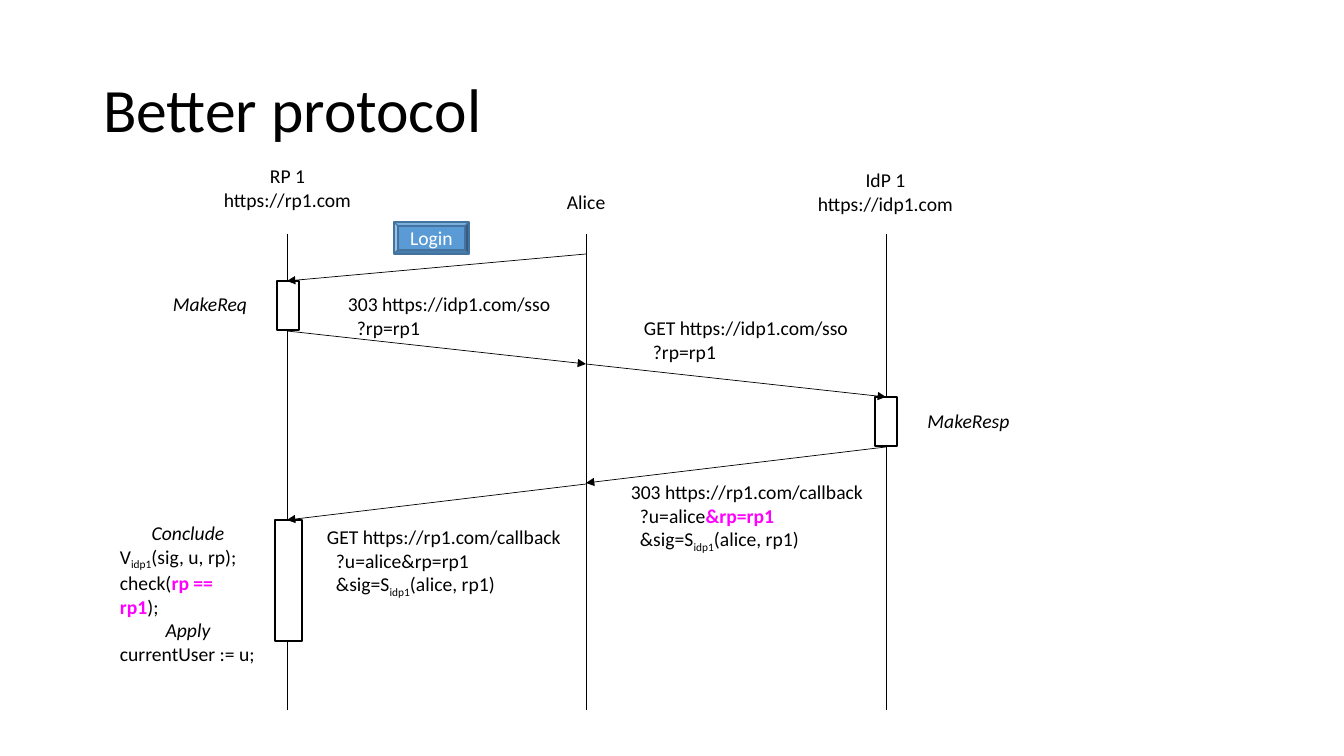
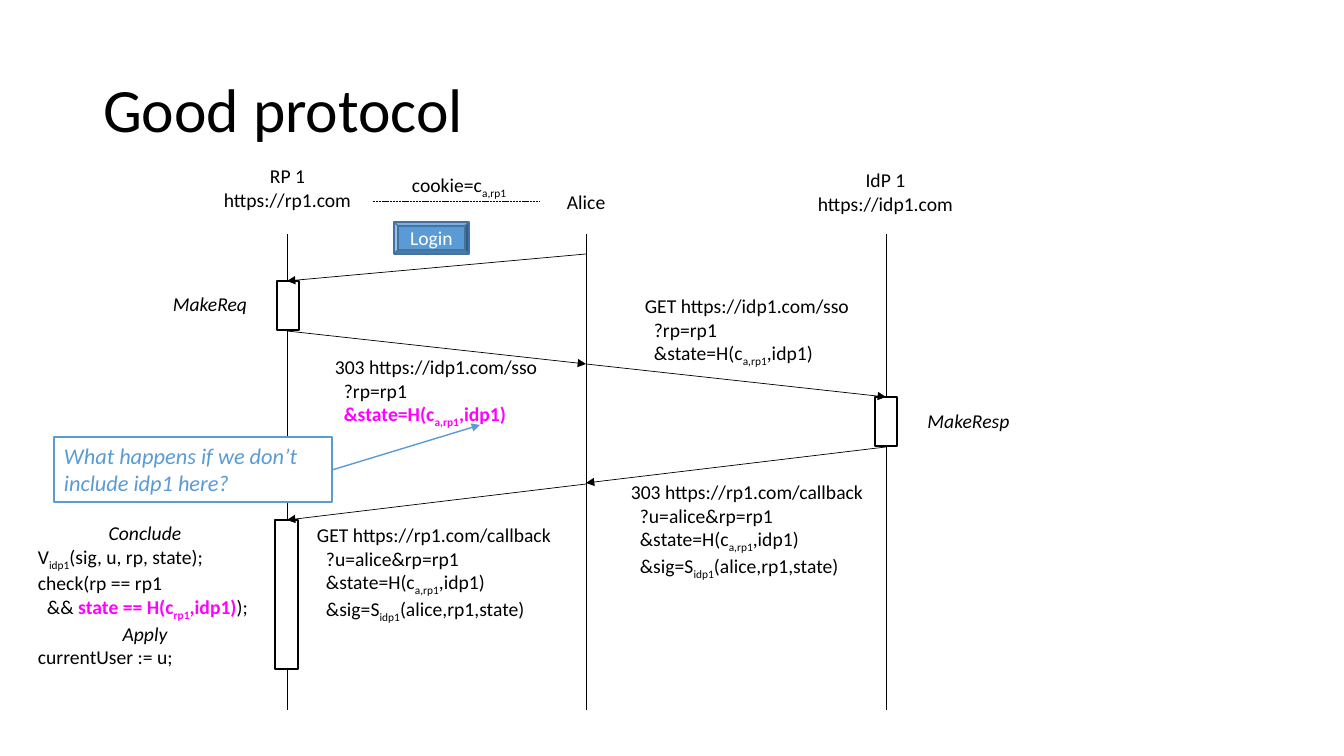
"""Two sequence diagrams of a single sign-on protocol."""
from dataclasses import dataclass

from pptx import Presentation
from pptx import util as u
from pptx.dml.color import RGBColor
from pptx.enum import dml, shapes, text
from pptx.oxml.ns import qn
from lxml import etree

EMU_PER_PIXEL = 914400 / 100.8
TITLE_ONLY = 5


@dataclass(frozen=True)
class Theme:
    """Colours, type sizes and line widths shared by the slides."""
    font: str = "Calibri"
    ink: str = "000000"
    paper: str = "FFFFFF"
    blue: str = "5B9BD5"
    blue_edge: str = "43739E"
    highlight: str = "FF00FF"
    title_size: int = 44
    body_size: int = 14
    callout_size: int = 16
    thin: float = 0.5
    thick: float = 1


THEME = Theme()
RP_X, ALICE_X, IDP_X = 287, 586, 886
LANE_TOP, LANE_BOTTOM = 234, 710
INDENT = 9
LINE_HEIGHT, TEXT_MARGINS = 23.7, 10

# Text marks: ~subscript~, *highlight*, leading > indents, leading ^ is a heading.
STATE = ">&state=H(c~a,rp1~,idp1)"
SSO = ["https://idp1.com/sso", ">?rp=rp1"]
CALLBACK = "https://rp1.com/callback"
SIGNED_PAIR = ">&sig=S~idp1~(alice, rp1)"
SIGNED_STATE = ">&sig=S~idp1~(alice,rp1,state)"


def px(value):
    """Turn pixels into EMU."""
    return u.Emu(round(value * EMU_PER_PIXEL))


def box_px(*lengths):
    """Turn several pixel lengths into EMU."""
    return [px(length) for length in lengths]


def style_run(run, size, color, bold=False, italic=False):
    """Format one run."""
    run.font.name = THEME.font
    run.font.size = u.Pt(size)
    run.font.color.rgb = RGBColor.from_string(color)
    run.font.bold = bold
    run.font.italic = italic


def marked_runs(line):
    """Yield (words, highlighted, subscript) for each part of a marked line."""
    for highlight_index, part in enumerate(line.split("*")):
        for subscript_index, words in enumerate(part.split("~")):
            if words:
                yield words, highlight_index % 2 == 1, subscript_index % 2 == 1


def write_line(paragraph, line, italic, centered):
    """Write one marked line into a paragraph."""
    heading = line.startswith("^")
    if line.startswith(">"):
        properties = paragraph._p.get_or_add_pPr()
        properties.set("marL", str(px(INDENT)))
        properties.set("indent", "0")
    paragraph.alignment = text.PP_ALIGN.CENTER if heading or centered else text.PP_ALIGN.LEFT
    for words, highlighted, subscript in marked_runs(line.lstrip(">^")):
        run = paragraph.add_run()
        run.text = words
        color = THEME.highlight if highlighted else THEME.ink
        style_run(run, THEME.body_size, color, highlighted, italic or heading)
        if subscript:
            run._r.get_or_add_rPr().set("baseline", "-25000")


def add_text(slide, left, top, width, lines, italic=False, centered=False, wrap=False):
    """Add a text box whose height follows from its number of lines."""
    height = TEXT_MARGINS + LINE_HEIGHT * len(lines)
    frame = slide.shapes.add_textbox(*box_px(left, top, width, height)).text_frame
    frame.word_wrap = wrap
    frame.auto_size = text.MSO_AUTO_SIZE.SHAPE_TO_FIT_TEXT
    for index, line in enumerate(lines):
        paragraph = frame.add_paragraph() if index else frame.paragraphs[0]
        write_line(paragraph, line, italic, centered)


def add_line(slide, start, end, color=THEME.ink, width=THEME.thin, arrow=False, dash=None):
    """Add a straight line, with an arrowhead at its end if asked."""
    connector = slide.shapes.add_connector(
        shapes.MSO_CONNECTOR.STRAIGHT, *box_px(*start, *end))
    connector.line.color.rgb = RGBColor.from_string(color)
    connector.line.width = u.Pt(width)
    if dash:
        connector.line.dash_style = dash
    if arrow:
        outline = connector.line._get_or_add_ln()
        etree.SubElement(outline, qn("a:tailEnd")).set("type", "triangle")
    etree.SubElement(connector._element.spPr, qn("a:effectLst"))


def add_box(slide, kind, box, fill, edge):
    """Add a filled and outlined preset shape."""
    shape = slide.shapes.add_shape(kind, *box_px(*box))
    shape.shadow.inherit = False
    shape.fill.solid()
    shape.fill.fore_color.rgb = RGBColor.from_string(fill)
    shape.line.color.rgb = RGBColor.from_string(edge)
    shape.line.width = u.Pt(THEME.thick)
    return shape


def label_box(shape, words, size, color, alignment, wrap, italic=False):
    """Write one paragraph inside a shape."""
    frame = shape.text_frame
    frame.text = words
    frame.word_wrap = wrap
    frame.vertical_anchor = text.MSO_ANCHOR.MIDDLE
    paragraph = frame.paragraphs[0]
    paragraph.alignment = alignment
    style_run(paragraph.runs[0], size, color, italic=italic)


def add_activation(slide, left, top, width, height):
    """Add the bar that shows a party at work."""
    add_box(slide, shapes.MSO_SHAPE.RECTANGLE, (left, top, width, height),
            THEME.paper, THEME.ink)


def add_title(slide, words):
    """Place and format the title placeholder."""
    title = slide.shapes.title
    title.left, title.top, title.width, title.height = box_px(93, 40, 1159, 146)
    frame = title.text_frame
    frame.text = words
    frame.auto_size = text.MSO_AUTO_SIZE.NONE
    frame.vertical_anchor = text.MSO_ANCHOR.MIDDLE
    paragraph = frame.paragraphs[0]
    paragraph.alignment = text.PP_ALIGN.LEFT
    paragraph.line_spacing = 0.9
    style_run(paragraph.runs[0], THEME.title_size, THEME.ink)


def add_protocol(presentation, title, conclude_size):
    """Add a slide with the parties, messages and steps common to both protocols."""
    slide = presentation.slides.add_slide(presentation.slide_layouts[TITLE_ONLY])
    add_title(slide, title)
    for x in (RP_X, ALICE_X, IDP_X):
        add_line(slide, (x, LANE_TOP), (x, LANE_BOTTOM))
    add_text(slide, 213, 159, 149, ["RP 1", "https://rp1.com"], centered=True)
    add_text(slide, 557, 185, 60, ["Alice"])
    add_text(slide, 807, 163, 157, ["IdP 1", "https://idp1.com"], centered=True)

    add_activation(slide, 277, 281, 22, 49)
    add_activation(slide, 875, 397, 22, 49)
    add_activation(slide, 275, 520, *conclude_size)
    messages = [
        ((ALICE_X, 254), (RP_X, 281)),
        ((RP_X, 331), (ALICE_X, 364)),
        ((ALICE_X, 364), (IDP_X, 397)),
        ((IDP_X, 447), (ALICE_X, 483)),
        ((ALICE_X, 484), (RP_X, 520)),
    ]
    for start, end in messages:
        add_line(slide, start, end, arrow=True)

    add_text(slide, 162, 287, 96, ["MakeReq"], italic=True, centered=True)
    add_text(slide, 917, 404, 103, ["MakeResp"], italic=True, centered=True)
    login = add_box(slide, shapes.MSO_SHAPE.BEVEL, (394, 222, 75, 32),
                    THEME.blue, THEME.blue_edge)
    label_box(login, "Login", THEME.body_size, THEME.paper,
              text.PP_ALIGN.CENTER, wrap=False)
    return slide


def request_lines(verb, address, *parameters):
    """Put a verb before an address and list the parameters below."""
    return [f"{verb} {address}", *parameters]


def add_better_protocol(presentation):
    """Add the protocol that names the relying party in the response."""
    slide = add_protocol(presentation, "Better protocol", (27, 121))
    add_text(slide, 338, 287, 225, request_lines("303", *SSO))
    add_text(slide, 634, 311, 227, request_lines("GET", *SSO))
    add_text(slide, 621, 475, 254, request_lines(
        "303", CALLBACK, ">?u=alice*&rp=rp1*", SIGNED_PAIR), wrap=True)
    add_text(slide, 317, 520, 260, request_lines(
        "GET", CALLBACK, ">?u=alice&rp=rp1", SIGNED_PAIR), wrap=True)
    add_text(slide, 110, 516, 156, [
        "^Conclude", "V~idp1~(sig, u, rp);", "check(*rp == rp1*);",
        "^Apply", "currentUser := u;"])


def add_callout(slide):
    """Add the question and the arrow to the state parameter."""
    callout = add_box(slide, shapes.MSO_SHAPE.RECTANGLE, (54, 437, 278, 65),
                      THEME.paper, THEME.blue)
    label_box(callout, "What happens if we don’t include idp1 here?",
              THEME.callout_size, THEME.blue, text.PP_ALIGN.LEFT,
              wrap=True, italic=True)
    add_line(slide, (332, 470), (480, 425), THEME.blue, THEME.thick, arrow=True)


def add_good_protocol(presentation):
    """Add the protocol that also binds the state to a cookie."""
    slide = add_protocol(presentation, "Good protocol", (23, 149))
    callback = [CALLBACK, ">?u=alice&rp=rp1", STATE, SIGNED_STATE]
    add_text(slide, 325, 350, 225, request_lines(
        "303", *SSO, ">*&state=H(c~a,rp1~,idp1)*"))
    add_text(slide, 635, 289, 227, request_lines("GET", *SSO, STATE))
    add_text(slide, 621, 475, 254, request_lines("303", *callback), wrap=True)
    add_text(slide, 28, 516, 234, [
        "^Conclude", "V~idp1~(sig, u, rp, state);", "check(rp == rp1",
        ">&& *state == H(c~rp1~,idp1)*);", "^Apply", "currentUser := u;"])
    add_line(slide, (373, 201), (540, 201), dash=dml.MSO_LINE.SQUARE_DOT)
    add_text(slide, 402, 168, 119, ["cookie=c~a,rp1~"])
    add_callout(slide)
    add_text(slide, 307, 518, 266, request_lines("GET", *callback), wrap=True)


def main():
    """Build the presentation and save it."""
    presentation = Presentation()
    presentation.slide_width, presentation.slide_height = box_px(1344, 756)
    add_better_protocol(presentation)
    add_good_protocol(presentation)
    presentation.save("out.pptx")


main()
